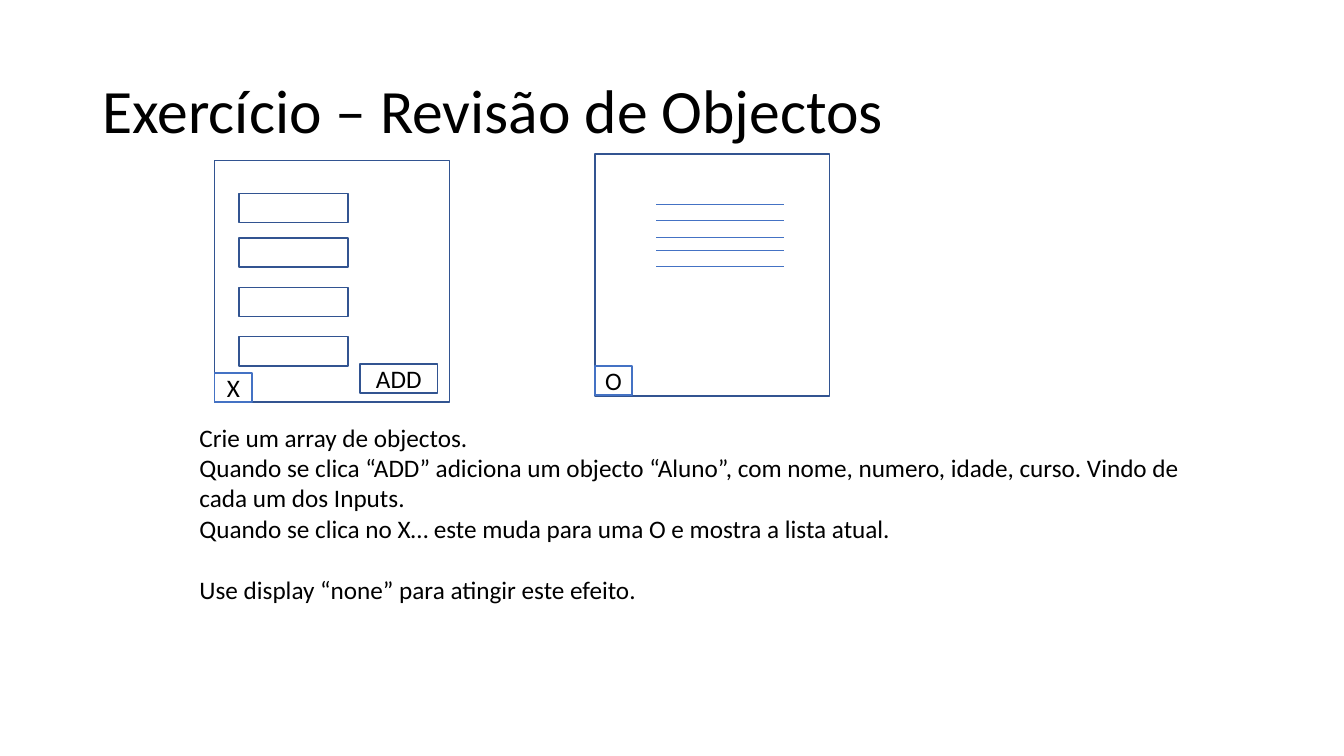
"""Build the object review exercise slide with two screen sketches."""
from pptx import Presentation
from pptx.dml.color import RGBColor
from pptx.enum.shapes import MSO_CONNECTOR as Link, MSO_SHAPE as Kind
from pptx.enum.text import MSO_ANCHOR as Anchor, PP_ALIGN as Align
from pptx.oxml.ns import qn
from pptx.util import Inches, Pt
from lxml import etree


def color(code):
    """Turn a hex string into a colour."""
    return RGBColor.from_string(code)


def write(frame, lines, size, **form):
    """Put lines of text in a frame with the given paragraph format."""
    frame.text = "\n".join(lines)
    for para in frame.paragraphs:
        for key, value in form.items():
            setattr(para, key, value)
        for key, value in {"name": "Calibri", "size": Pt(size)}.items():
            setattr(para.font, key, value)
        para.font.color.rgb = color("000000")


deck = Presentation()
deck.slide_width, deck.slide_height = Inches(13.33), Inches(7.5)
slide = deck.slides.add_slide(deck.slide_layouts[6])
shapes = slide.shapes
navy, blue = "325491", "4472C4"

title = shapes.add_textbox(Inches(0.92), Inches(0.4), Inches(11.5), Inches(1.45)).text_frame
title.word_wrap = True
title.vertical_anchor = Anchor.MIDDLE
write(title, ["Exercício – Revisão de Objectos"], 44, line_spacing=0.9)

body = shapes.add_textbox(Inches(1.88), Inches(4.14), Inches(10.03), Inches(1.92)).text_frame
body.word_wrap = True
write(body, [
    "Crie um array de objectos.",
    "Quando se clica “ADD” adiciona um objecto “Aluno”, com nome, numero, idade, curso. "
    "Vindo de cada um dos Inputs.",
    "Quando se clica no X… este muda para uma O e mostra a lista atual.",
    "Use display “none” para atingir este efeito.",
], 18)
body.paragraphs[-1].space_before = Pt(22)

fields = [(2.37, top, 1.08, 0.29, navy, "") for top in (1.92, 2.36, 2.85, 3.34)]
boxes = [
    (2.13, 1.59, 2.33, 2.4, navy, ""),
    *fields,
    (3.57, 3.61, 0.77, 0.29, navy, "ADD"),
    (2.13, 3.7, 0.37, 0.29, blue, "X"),
    (5.9, 1.53, 2.33, 2.4, navy, ""),
    (5.9, 3.63, 0.37, 0.29, blue, "O"),
]
for left, top, width, height, edge, label in boxes:
    box = shapes.add_shape(Kind.RECTANGLE, Inches(left), Inches(top), Inches(width), Inches(height))
    box.shadow.inherit = False
    box.fill.background()
    box.line.color.rgb = color(edge)
    box.line.width = Pt(1)
    if label:
        box.text_frame.word_wrap = False
        box.text_frame.vertical_anchor = Anchor.MIDDLE
        write(box.text_frame, [label], 18, alignment=Align.CENTER)

for top in (2.03, 2.19, 2.35, 2.48, 2.64):
    row = shapes.add_connector(Link.STRAIGHT, Inches(6.51), Inches(top), Inches(7.78), Inches(top))
    row.line.color.rgb = color(blue)
    row.line.width = Pt(0.5)
    etree.SubElement(row._element.spPr, qn("a:effectLst"))

deck.save("out.pptx")
